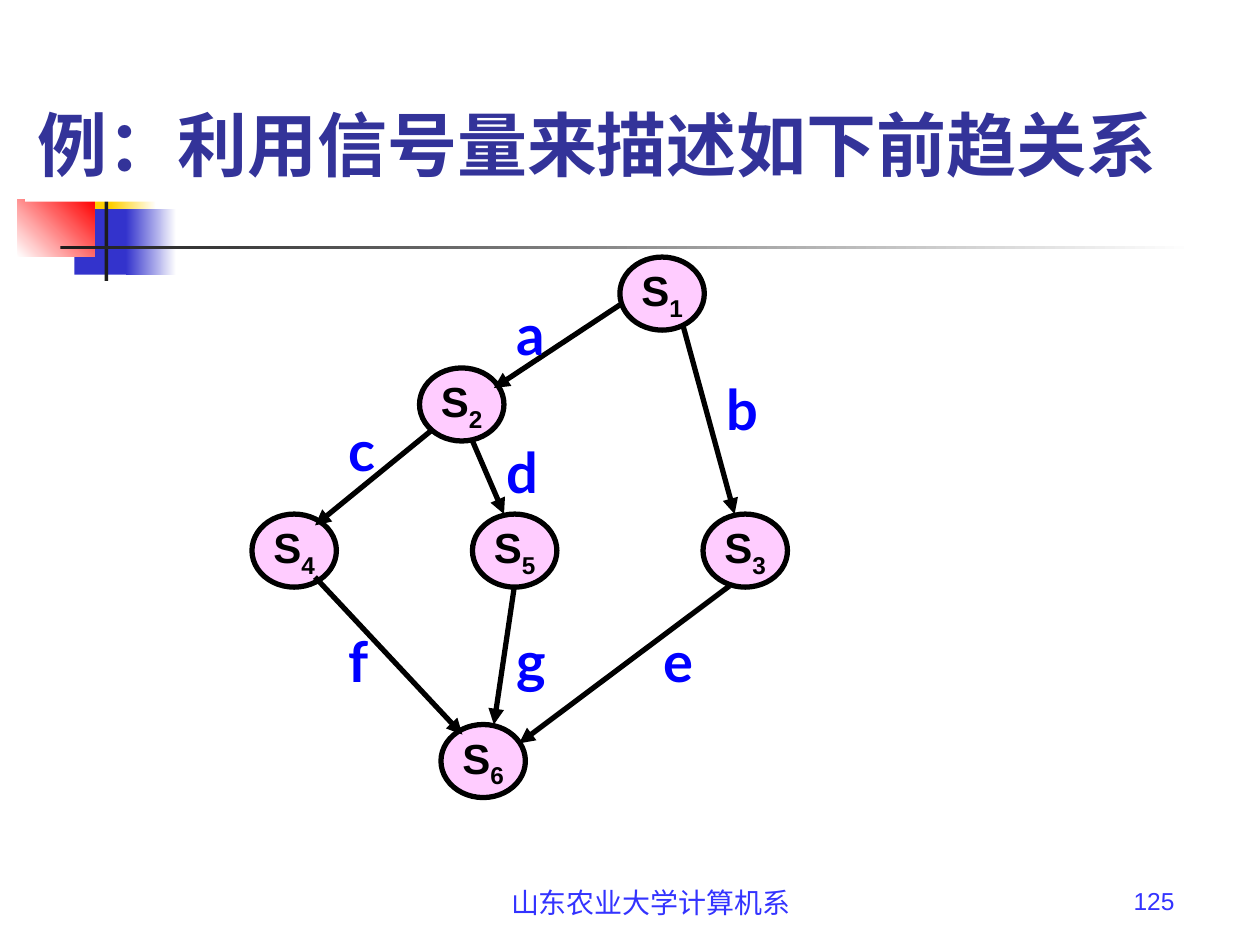
"""Build a slide with a precedence graph whose edges are named semaphores."""
from lxml import etree
from pptx import Presentation
from pptx.dml.color import RGBColor
from pptx.enum.shapes import MSO_CONNECTOR, MSO_SHAPE
from pptx.enum.text import MSO_ANCHOR, PP_ALIGN
from pptx.oxml.ns import qn
from pptx.util import Inches, Pt

RECTANGLE, OVAL = MSO_SHAPE.RECTANGLE, MSO_SHAPE.OVAL
STRAIGHT = MSO_CONNECTOR.STRAIGHT
MIDDLE = MSO_ANCHOR.MIDDLE
LEFT, CENTER, RIGHT = PP_ALIGN.LEFT, PP_ALIGN.CENTER, PP_ALIGN.RIGHT
CHINESE_FONT = "Noto Sans CJK SC"


def color(value):
    """Turn a hex string into a colour."""
    return RGBColor.from_string(value)


def add_span(para, text, size, font, value, bold=False):
    """Add one formatted run to a paragraph."""
    span = para.add_run()
    span.text = text
    span.font.size = Pt(size)
    span.font.name = font
    span.font.bold = bold
    span.font.color.rgb = color(value)
    east = etree.SubElement(span._r.get_or_add_rPr(), qn("a:ea"))
    east.set("typeface", CHINESE_FONT)
    return span


deck = Presentation()
deck.slide_width, deck.slide_height = Inches(10), Inches(7.5)
page = deck.slides.add_slide(deck.slide_layouts[6])

ornaments = [
    (0.46, 1.2, 0.48, 0.52, ["FFCF01"], 0),
    (0.88, 1.2, 0.36, 0.52, ["FFCF01", "FFFFFF"], 0),
    (0.59, 1.66, 0.46, 0.52, ["3333CC"], 0),
    (1, 1.66, 0.4, 0.52, ["3333CC", "FFFFFF"], 0),
    (0.14, 1.58, 0.61, 0.46, ["FFFFFF", "FF0000"], 45),
    (0.83, 1.08, 0.03, 1.15, ["1C1C1C"], 0),
    (0.48, 1.95, 9, 0.03, ["1C1C1C", "FFFFFF"], 0),
]
for left, top, width, height, values, angle in ornaments:
    block = page.shapes.add_shape(
        RECTANGLE, Inches(left), Inches(top), Inches(width), Inches(height))
    block.shadow.inherit = False
    block.line.fill.background()
    if len(values) == 1:
        block.fill.solid()
        block.fill.fore_color.rgb = color(values[0])
    else:
        block.fill.gradient()
        block.fill.gradient_angle = angle
        for stop, value in zip(block.fill.gradient_stops, values):
            stop.color.rgb = color(value)

footers = [
    (3.58, 3.17, "山东农业大学计算机系", 16, CENTER),
    (6.92, 2.5, "125", 14, RIGHT),
]
for left, width, text, size, alignment in footers:
    box = page.shapes.add_textbox(
        Inches(left), Inches(6.98), Inches(width), Inches(0.52))
    box.text_frame.word_wrap = True
    para = box.text_frame.paragraphs[0]
    para.alignment = alignment
    add_span(para, text, size, "Arial", "3333FF")

graph = page.shapes.add_group_shape()
nodes = {
    "1": (4.92, 2.04), "2": (3.33, 2.92), "3": (5.58, 4.08),
    "4": (2, 4.08), "5": (3.75, 4.08), "6": (3.5, 5.75),
}
for number, (left, top) in nodes.items():
    node = graph.shapes.add_shape(
        OVAL, Inches(left), Inches(top), Inches(0.67), Inches(0.58))
    node.shadow.inherit = False
    node.fill.solid()
    node.fill.fore_color.rgb = color("FFCCFF")
    node.line.color.rgb = color("000000")
    node.line.width = Pt(3)
    node.text_frame.word_wrap = False
    node.text_frame.vertical_anchor = MIDDLE
    para = node.text_frame.paragraphs[0]
    para.alignment = CENTER
    add_span(para, "S", 24, "Arial", "000000", True)
    subscript = add_span(para, number, 24, "Arial", "000000", True)
    subscript._r.get_or_add_rPr().set("baseline", "-25000")

edges = [
    (4.92, 2.42, 3.92, 3.08),
    (5.42, 2.58, 5.83, 4.08),
    (3.75, 3.5, 4, 4.08),
    (3.42, 3.42, 2.5, 4.17),
    (2.5, 4.58, 3.67, 5.83),
    (4.08, 4.67, 3.92, 5.75),
    (5.79, 4.65, 4.12, 5.9),
]
for edge in edges:
    arrow = graph.shapes.add_connector(STRAIGHT, *map(Inches, edge))
    arrow.line.color.rgb = color("000000")
    arrow.line.width = Pt(3)
    tail = etree.SubElement(arrow.line._get_or_add_ln(), qn("a:tailEnd"))
    tail.set("type", "triangle")
    etree.SubElement(arrow._element.spPr, qn("a:effectLst"))

title = page.shapes.add_shape(
    RECTANGLE, Inches(0.2), Inches(0.68), Inches(9.57), Inches(0.92))
title.shadow.inherit = False
title.fill.solid()
title.fill.fore_color.rgb = color("FFFFFF")
title.line.fill.background()
title.text_frame.word_wrap = True
title.text_frame.vertical_anchor = MIDDLE
para = title.text_frame.paragraphs[0]
para.alignment = LEFT
add_span(para, "例：利用信号量来描述如下前趋关系", 40, CHINESE_FONT, "333399", True)

semaphores = page.shapes.add_group_shape()
labels = [
    ("a", 4, 2.33, 0.33), ("b", 5.67, 2.92, 0.33), ("c", 2.67, 3.25, 0.33),
    ("d", 3.92, 3.42, 0.5), ("f", 2.67, 4.92, 0.5), ("e", 5.17, 4.92, 0.5),
    ("g", 4, 4.92, 0.42),
]
for letter, left, top, width in labels:
    box = semaphores.shapes.add_textbox(
        Inches(left), Inches(top), Inches(width), Inches(0.64))
    box.text_frame.word_wrap = True
    add_span(box.text_frame.paragraphs[0], letter, 32, "Lato", "0000FF", True)

deck.save("out.pptx")
